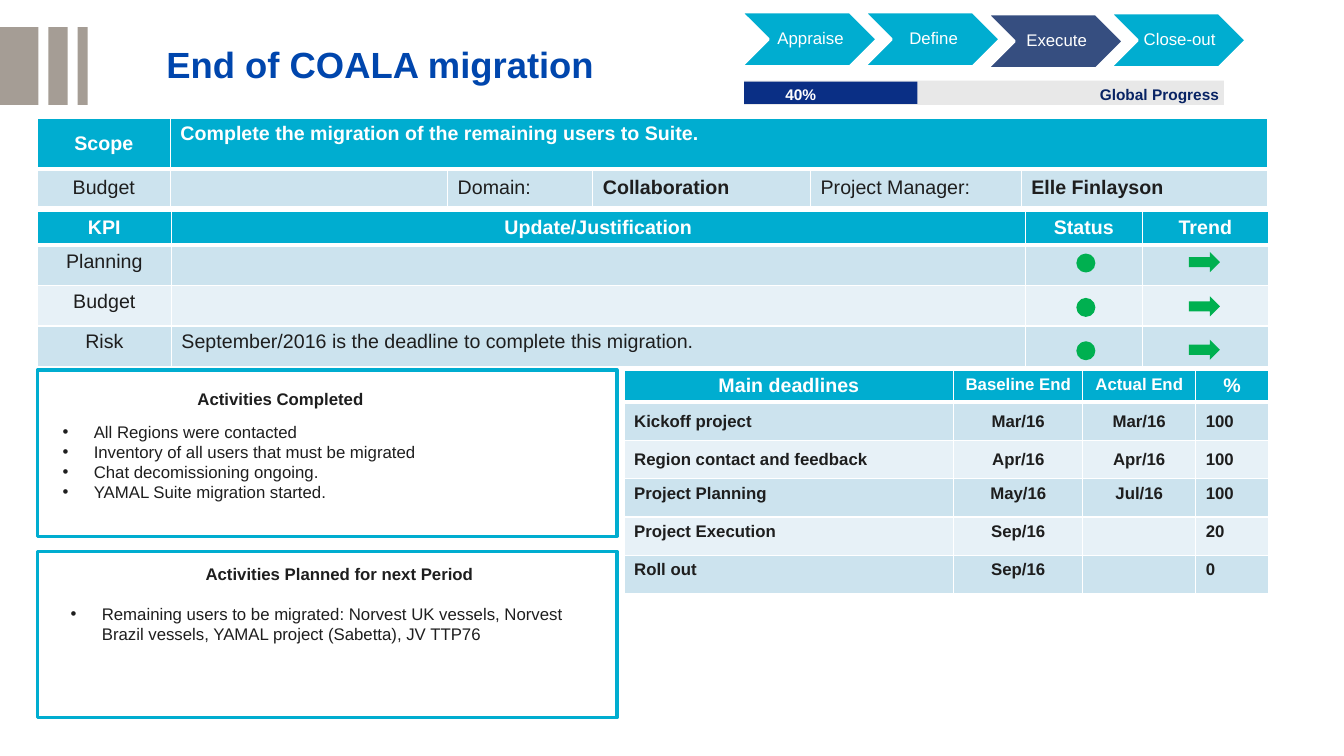
"""Build the status slide of the COALA migration project."""
import pptx
import pptx.util
import pptx.dml.color
import pptx.enum.shapes
import pptx.enum.text
import pptx.oxml.ns
from lxml import etree

Inches, Pt = pptx.util.Inches, pptx.util.Pt
RGBColor = pptx.dml.color.RGBColor
KIND = pptx.enum.shapes.MSO_SHAPE
ALIGN = pptx.enum.text.PP_ALIGN
ANCHOR = pptx.enum.text.MSO_ANCHOR
FIT = pptx.enum.text.MSO_AUTO_SIZE
qn = pptx.oxml.ns.qn

WHITE = RGBColor(0xFF, 0xFF, 0xFF)
INK = RGBColor(0x1E, 0x1E, 0x1E)
BLUE = RGBColor(0x00, 0x46, 0xAD)
CYAN = RGBColor(0x00, 0xAD, 0xD0)
SLATE = RGBColor(0x36, 0x4E, 0x80)
NAVY = RGBColor(0x0A, 0x2F, 0x85)
DEEP = RGBColor(0x08, 0x23, 0x64)
STONE = RGBColor(0xA5, 0x9D, 0x95)
GREY = RGBColor(0xE8, 0xE8, 0xE8)
GREEN = RGBColor(0x00, 0xB0, 0x50)
BANDS = [RGBColor(0xCC, 0xE3, 0xEE), RGBColor(0xE7, 0xF1, 0xF7)]

TITLE = "End of COALA migration"
BARS = [(0, 0.38), (0.48, 0.19), (0.77, 0.1)]
STEPS = [("Appraise", CYAN, 0.12), ("Define", CYAN, 0.12),
         ("Execute", SLATE, 0.14), ("Close-out", CYAN, 0.13)]

SCOPE = [
    [("Scope", "cm"), ("Complete the migration of the remaining users to Suite.", "")],
    [("Budget", "cm"), ("", ""), ("Domain:", "m"), ("Collaboration", "mb"),
     ("Project Manager:", "m"), ("Elle Finlayson", "mb")],
]
KPIS = [
    [("KPI", "c"), ("Update/Justification", "c"), ("Status", "c"), ("Trend", "c")],
    [("Planning", "c")],
    [("Budget", "c")],
    [("Risk", "c"),
     ("September/2016 is the deadline to complete this migration.", "")],
]
HEADS = [("Main deadlines", "c"), ("Baseline End", "cs"), ("Actual End", "cs"), ("%", "c")]
DATES = [
    ("Kickoff project", "Mar/16", "Mar/16", "100", "m"),
    ("Region contact and feedback", "Apr/16", "Apr/16", "100", "m"),
    ("Project Planning", "May/16", "Jul/16", "100", ""),
    ("Project Execution", "Sep/16", "", "20", ""),
    ("Roll out", "Sep/16", "", "0", ""),
]
PANELS = [
    (3.67, "Activities Completed", (1.86, 3.81, 2.68, 0.3), (0.52, 4.13, 5.35, 1.11),
     ["All Regions were contacted", "Inventory of all users that must be migrated",
      "Chat decomissioning ongoing.", "YAMAL Suite migration started."]),
    (5.47, "Activities Planned for next Period", (1.94, 5.54, 2.89, 0.3),
     (0.6, 5.94, 5.35, 0.5),
     ["Remaining users to be migrated: Norvest UK vessels, Norvest Brazil vessels, "
      "YAMAL project (Sabetta), JV TTP76"]),
]
LIGHTS = [2.53, 2.97, 3.4]


def write(para, text, size, color, bold=False):
    """Add one run to a paragraph."""
    run = para.add_run()
    run.text = text
    font = run.font
    font.name, font.size, font.bold = "Arial", Pt(size), bold
    font.color.rgb = color


def place(shape, box):
    """Move and size a shape."""
    shape.left, shape.top, shape.width, shape.height = map(Inches, box)


def draw(slide, kind, box, fill, line=None, width=1):
    """Add a flat shape."""
    shape = slide.shapes.add_shape(kind, *map(Inches, box))
    shape.shadow.inherit = False
    shape.fill.solid()
    shape.fill.fore_color.rgb = fill
    if line is None:
        shape.line.fill.background()
    else:
        shape.line.color.rgb = line
        shape.line.width = Pt(width)
    return shape


def label(slide, box, text, size, color):
    """Add a bold line of text."""
    frame = slide.shapes.add_textbox(*map(Inches, box)).text_frame
    frame.word_wrap = False
    write(frame.paragraphs[0], text, size, color, True)


def edge(cell, side, width):
    """Give one side of a cell a white border."""
    line = etree.SubElement(cell._tc.get_or_add_tcPr(), qn("a:ln" + side),
                            w=str(int(Pt(width))))
    fill = etree.SubElement(line, qn("a:solidFill"))
    etree.SubElement(fill, qn("a:srgbClr"), val=str(WHITE))


def grid(slide, spot, cols, rows, cells, size):
    """Add a table; flags: c centred, m middle, b bold, s small."""
    frame = slide.shapes.add_table(len(rows), len(cols), *map(
        Inches, (*spot, sum(cols), sum(rows))))
    table = frame.table
    for col, width in zip(table.columns, cols):
        col.width = Inches(width)
    for i, height in enumerate(rows):
        table.rows[i].height = Inches(height)
        for j in range(len(cols)):
            cell = table.cell(i, j)
            text, flags = cells[i][j] if j < len(cells[i]) else ("", "")
            for side in "LRTB":
                thick = (i, side) in [(0, "B"), (1, "T")]
                edge(cell, side, 3 if thick else 1)
            cell.fill.solid()
            cell.fill.fore_color.rgb = BANDS[(i - 1) % 2] if i else CYAN
            cell.vertical_anchor = ANCHOR.MIDDLE if "m" in flags else ANCHOR.TOP
            para = cell.text_frame.paragraphs[0]
            para.alignment = ALIGN.CENTER if "c" in flags else ALIGN.LEFT
            if text:
                write(para, text, 12 if "s" in flags else size,
                      INK if i else WHITE, i == 0 or "b" in flags)
            else:
                etree.SubElement(para._p, qn("a:endParaRPr"), sz="1200")
    return table


def bullets(body, box, lines):
    """Fill a body placeholder with a bullet list."""
    place(body, box)
    frame = body.text_frame
    frame.auto_size = FIT.NONE
    for i, text in enumerate(lines):
        para = frame.add_paragraph() if i else frame.paragraphs[0]
        props = para._p.get_or_add_pPr()
        props.set("marL", str(Inches(0.31)))
        props.set("indent", str(-Inches(0.31)))
        etree.SubElement(props, qn("a:buFont"), typeface="Arial")
        etree.SubElement(props, qn("a:buChar"), char="•")
        para.space_before = Pt(0)
        write(para, text, 12, INK)


def main():
    """Compose and save the slide."""
    deck = pptx.Presentation()
    deck.slide_width, deck.slide_height = Inches(13.33), Inches(7.5)
    slide = deck.slides.add_slide(deck.slide_layouts[3])
    title, *bodies = slide.placeholders

    for left, width in BARS:
        draw(slide, KIND.RECTANGLE, (left, 0.27, width, 0.77), STONE)
    place(title, (1.65, 0.28, 5.5, 0.76))
    frame = title.text_frame
    frame.margin_left = frame.margin_right = frame.margin_top = frame.margin_bottom = 0
    frame.vertical_anchor = ANCHOR.MIDDLE
    frame.auto_size = FIT.NONE
    para = frame.paragraphs[0]
    para.alignment, para.line_spacing = ALIGN.LEFT, 0.9
    write(para, TITLE, 26, BLUE, True)

    for i, (name, fill, top) in enumerate(STEPS):
        step = draw(slide, KIND.CHEVRON, (7.35 + 1.22 * i, top, 1.35, 0.54), fill, WHITE, 2)
        frame = step.text_frame
        frame.word_wrap = False
        frame.margin_left = Inches(0.05)
        frame.margin_right = frame.margin_top = frame.margin_bottom = Inches(0.02)
        frame.vertical_anchor = ANCHOR.MIDDLE
        para = frame.paragraphs[0]
        para.alignment, para.line_spacing = ALIGN.CENTER, 0.9
        write(para, name, 12, WHITE)

    draw(slide, KIND.RECTANGLE, (7.38, 0.8, 4.76, 0.24), GREY)
    draw(slide, KIND.RECTANGLE, (7.38, 0.81, 1.72, 0.22), NAVY)
    label(slide, (7.69, 0.8, 0.75, 0.29), "40%", 11, WHITE)
    label(slide, (10.81, 0.79, 1.44, 0.29), "Global Progress", 11, DEEP)

    scope = grid(slide, (0.37, 1.17), [1.32, 2.75, 1.44, 2.16, 2.09, 2.44],
                 [0.51, 0.37], SCOPE, 14)
    scope.cell(0, 1).merge(scope.cell(0, 5))
    grid(slide, (0.37, 2.1), [1.33, 8.47, 1.16, 1.25], [0.31] + [0.4] * 3, KPIS, 14)
    for top in LIGHTS:
        draw(slide, KIND.OVAL, (10.69, top, 0.16, 0.16), GREEN, GREEN, 2)
        draw(slide, KIND.RIGHT_ARROW, (11.79, top - 0.03, 0.31, 0.2), GREEN)

    for body, (top, head, spot, box, lines) in zip(bodies, PANELS):
        draw(slide, KIND.RECTANGLE, (0.37, top, 5.75, 1.65), WHITE, CYAN, 2.25)
        label(slide, spot, head, 12, INK)
        bullets(body, box, lines)
        slide.shapes._spTree.append(body._element)

    dates = [[(task, "bs" + mid), (base, "cbs" + mid), (end, "cbs" + mid), (done, "bs" + mid)]
             for task, base, end, done, mid in DATES]
    grid(slide, (6.19, 3.67), [3.27, 1.28, 1.12, 0.72], [0.32] + [0.38] * 5,
         [HEADS] + dates, 14)
    deck.save("out.pptx")


if __name__ == "__main__":
    main()
